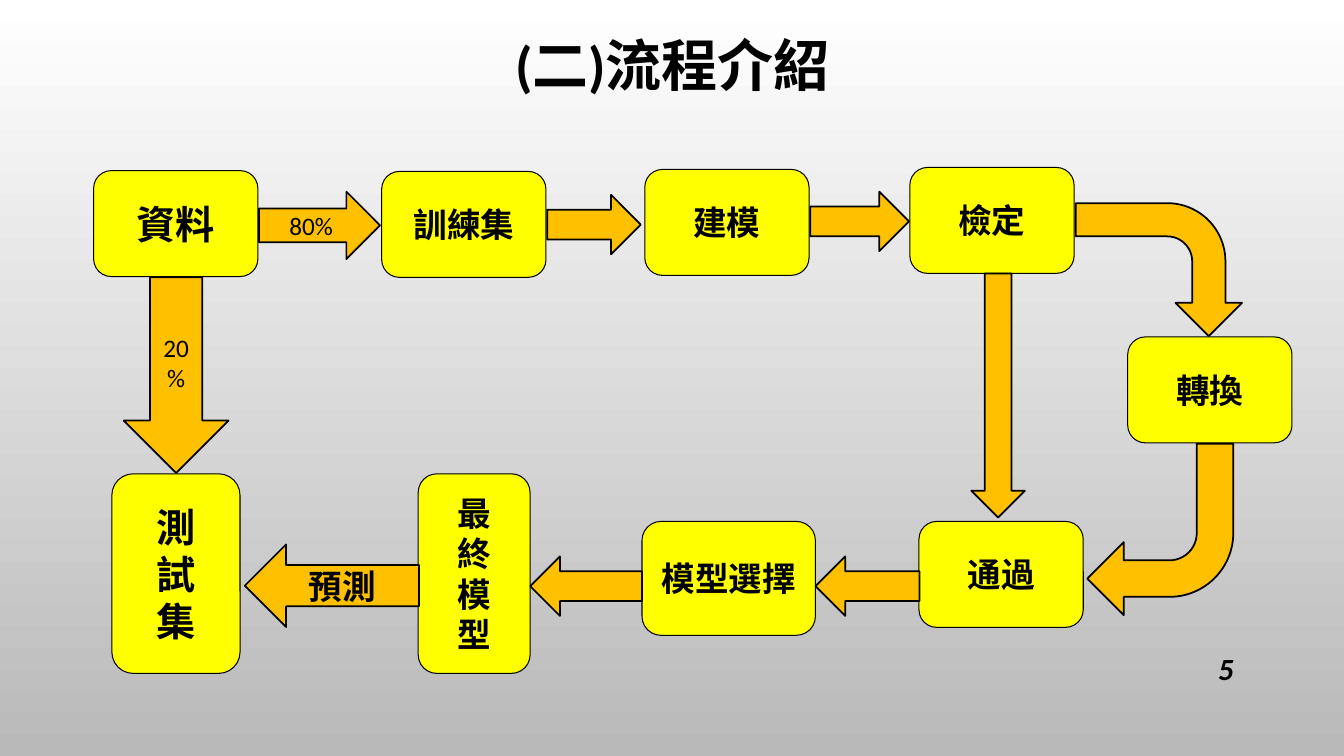
from pptx import Presentation
from pptx.dml.color import RGBColor
from pptx.enum.shapes import MSO_SHAPE
from pptx.enum.text import MSO_ANCHOR, PP_ALIGN
from pptx.util import Cm, Pt

BLACK = RGBColor(0x00, 0x00, 0x00)
WHITE = RGBColor(0xFF, 0xFF, 0xFF)
GREY = RGBColor(0xB9, 0xB9, 0xB9)
YELLOW = RGBColor(0xFF, 0xFF, 0x00)
ORANGE = RGBColor(0xFF, 0xC0, 0x00)

STEP_WIDTH, STEP_HEIGHT = 4.14, 2.67
TALL_HEIGHT = 5.03
ARROW_HEIGHT = 1.5

# Label, left, top, width, height (cm within the flow), text size
STEPS = [
    ("資料", 0, 0.08, STEP_WIDTH, STEP_HEIGHT, 28),
    ("訓練集", 7.26, 0.1, STEP_WIDTH, STEP_HEIGHT, 24),
    ("建模", 13.89, 0.05, STEP_WIDTH, STEP_HEIGHT, 24),
    ("檢定", 20.57, 0, STEP_WIDTH, STEP_HEIGHT, 24),
    ("轉換", 26.06, 4.27, STEP_WIDTH, STEP_HEIGHT, 24),
    ("通過", 20.8, 8.92, STEP_WIDTH, STEP_HEIGHT, 24),
    ("模型選擇", 13.82, 8.92, 4.37, 2.87, 24),
    ("最\n終\n模\n型", 8.18, 7.72, 2.82, TALL_HEIGHT, 24),
    ("測\n試\n集", 0.46, 7.72, 3.23, TALL_HEIGHT, 28),
]

# Kind, left, top, width, height (cm within the flow), rotation
PLAIN_ARROWS = [
    (MSO_SHAPE.BENT_ARROW, 25.17, 0.48, 3.35, 4.19, 90),
    (MSO_SHAPE.BENT_ARROW, 25.04, 6.96, 3.68, 4.32, 180),
    (MSO_SHAPE.DOWN_ARROW, 22.12, 2.67, 1.35, 6.15, 0),
    (MSO_SHAPE.RIGHT_ARROW, 11.43, 0.69, 2.36, ARROW_HEIGHT, 0),
    (MSO_SHAPE.RIGHT_ARROW, 18.06, 0.61, 2.49, ARROW_HEIGHT, 0),
    (MSO_SHAPE.RIGHT_ARROW, 18.19, 9.8, 2.62, ARROW_HEIGHT, 180),
    (MSO_SHAPE.RIGHT_ARROW, 11, 9.8, 2.82, ARROW_HEIGHT, 180),
]

# Label, kind, left, top, width, height (cm within the flow), size, bold
LABELLED_ARROWS = [
    ("80%", MSO_SHAPE.RIGHT_ARROW, 4.17, 0.61, 3.05, 1.7, 18, False),
    ("20%", MSO_SHAPE.DOWN_ARROW, 0.76, 2.77, 2.64, 4.93, 18, False),
    ("預測", MSO_SHAPE.LEFT_ARROW, 3.81, 9.5, 4.39, 2.08, 24, True),
]


def write(shape, text, size=24, bold=True, italic=False,
          align=PP_ALIGN.CENTER, anchor=MSO_ANCHOR.MIDDLE):
    frame = shape.text_frame
    frame.word_wrap = True
    frame.vertical_anchor = anchor
    frame.text = text
    for paragraph in frame.paragraphs:
        paragraph.alignment = align
        font = paragraph.runs[0].font
        font.name = "Calibri"
        font.size = Pt(size)
        font.bold = bold
        font.italic = italic
        font.color.rgb = BLACK


def add_outlined(slide, kind, left, top, width, height, fill, line_width):
    shape = slide.shapes.add_shape(kind, left, top, width, height)
    shape.shadow.inherit = False
    shape.fill.solid()
    shape.fill.fore_color.rgb = fill
    shape.line.color.rgb = BLACK
    shape.line.width = Pt(line_width)
    return shape


def draw_background(slide):
    fill = slide.background.fill
    fill.gradient()
    fill.gradient_angle = 270
    for stop, color in zip(fill.gradient_stops, (WHITE, GREY)):
        stop.color.rgb = color


def draw_title(slide, left, top, width, height):
    title = slide.shapes.add_textbox(left, top, width, height)
    write(title, "(二)流程介紹", size=40, anchor=MSO_ANCHOR.TOP)


def draw_flow(slide, left, top):
    """Place the steps and arrows relative to the flow's top left corner."""
    def place(kind, x, y, width, height, fill, line_width):
        return add_outlined(slide, kind, left + Cm(x), top + Cm(y),
                            Cm(width), Cm(height), fill, line_width)

    for label, *box, size in STEPS:
        step = place(MSO_SHAPE.ROUNDED_RECTANGLE, *box, YELLOW, 0.75)
        write(step, label, size=size)
    for kind, *box, rotation in PLAIN_ARROWS:
        place(kind, *box, ORANGE, 1.25).rotation = rotation
    for label, kind, *box, size, bold in LABELLED_ARROWS:
        write(place(kind, *box, ORANGE, 1.25), label, size=size, bold=bold)


def draw_page_number(slide, left, top, width, height):
    number = slide.shapes.add_textbox(left, top, width, height)
    write(number, "5", size=22, italic=True, align=PP_ALIGN.RIGHT)


def main():
    presentation = Presentation()
    presentation.slide_width = Cm(33.87)
    presentation.slide_height = Cm(19.05)
    slide = presentation.slides.add_slide(presentation.slide_layouts[6])
    draw_background(slide)
    draw_title(slide, Cm(10.57), Cm(0.64), Cm(12.75), Cm(1.96))
    draw_flow(slide, Cm(2.36), Cm(4.22))
    draw_page_number(slide, Cm(29.21), Cm(16.33), Cm(2.13), Cm(1.02))
    presentation.save("out.pptx")


if __name__ == "__main__":
    main()
